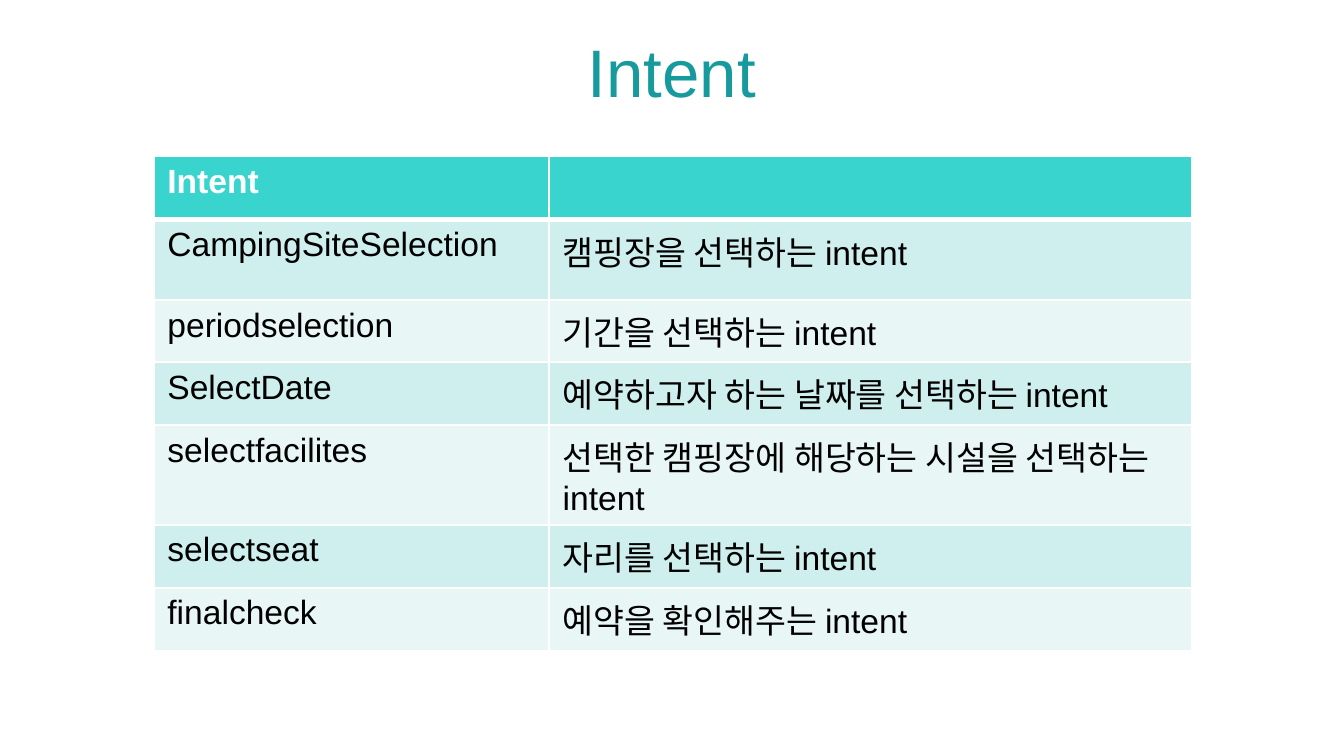
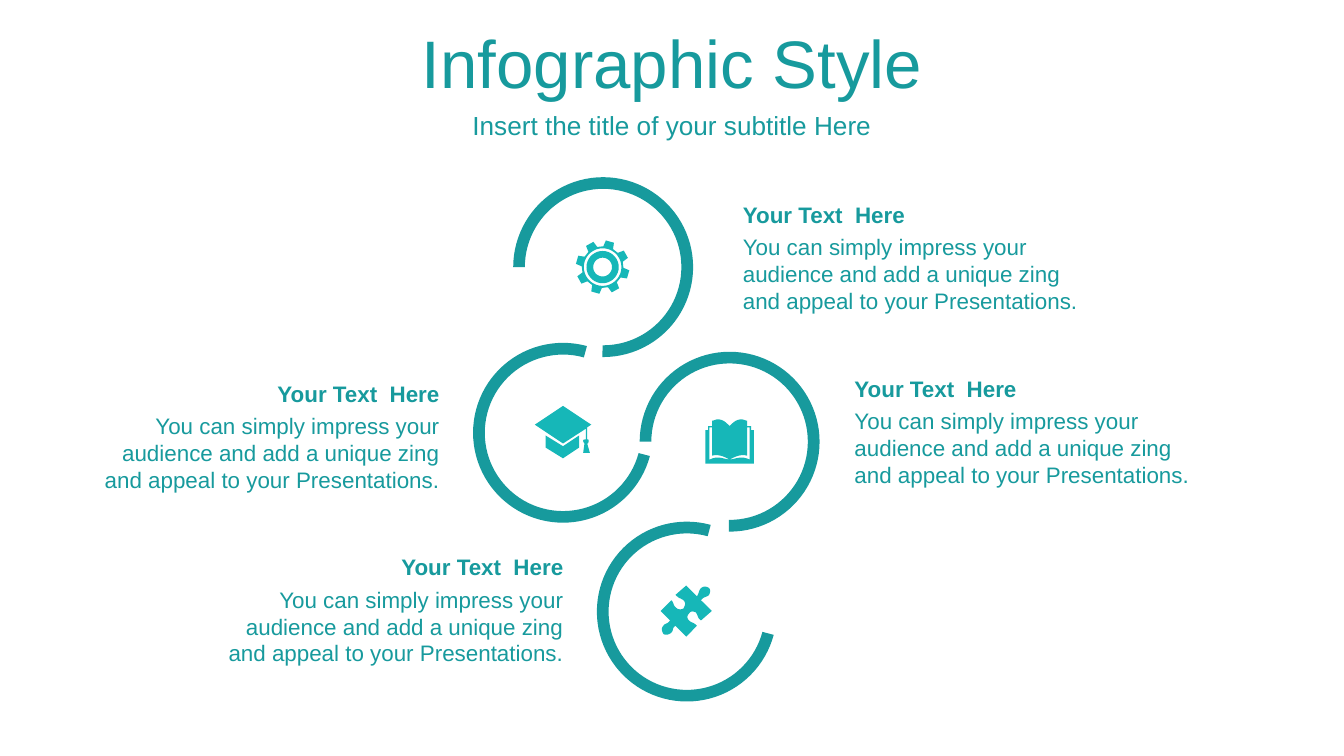
"""Build two slides: a table of intents and an infographic of four linked rings."""
from lxml.etree import SubElement
from pptx import Presentation
from pptx.dml.color import RGBColor
from pptx.enum.shapes import MSO_SHAPE as Preset
from pptx.enum.text import MSO_ANCHOR as Anchor, MSO_AUTO_SIZE as AutoSize, PP_ALIGN as Align
from pptx.oxml.ns import qn
from pptx.util import Cm, Pt
from math import cos, radians, sin

COLORS = {
    "title": "179A9D",
    "icon": "16B7B8",
    "header": "38D4CD",
    "band_dark": "CEEFED",
    "band_light": "E8F7F6",
    "white": "FFFFFF",
    "black": "000000",
}
FONT = "Arial"
ICON_UNIT = 0.0254
CURVE_STEPS = 8


def write_text(frame, text, size, color, align=Align.LEFT, bold=False):
    frame.text = text
    frame.word_wrap = True
    para = frame.paragraphs[0]
    para.alignment = align
    para.space_before = Pt(0)
    for span in para.runs:
        span.font.name = FONT
        span.font.size = Pt(size)
        span.font.bold = bold
        span.font.color.rgb = RGBColor.from_string(COLORS[color])


def draw_icon(page, center, contours):
    builder = None
    for contour in contours:
        points = [contour[0]]
        for step in contour[1:]:
            if len(step) == 2:
                points.append(step)
                continue
            (x0, y0), (x1, y1, x2, y2, x3, y3) = points[-1], step
            for index in range(1, CURVE_STEPS + 1):
                t = index / CURVE_STEPS
                a, b, c, d = (1 - t) ** 3, 3 * t * (1 - t) ** 2, 3 * t * t * (1 - t), t ** 3
                points.append((a * x0 + b * x1 + c * x2 + d * x3,
                               a * y0 + b * y1 + c * y2 + d * y3))
        places = [(Cm(center[0] + x * ICON_UNIT), Cm(center[1] + y * ICON_UNIT))
                  for x, y in points]
        if builder is None:
            builder = page.shapes.build_freeform(*places[0], scale=1.0)
        else:
            builder.move_to(*places[0])
        builder.add_line_segments(places[1:], close=True)
    icon = builder.convert_to_shape()
    icon.shadow.inherit = False
    icon.fill.solid()
    icon.fill.fore_color.rgb = RGBColor.from_string(COLORS["icon"])
    icon.line.fill.background()


deck = Presentation()
deck.slide_width, deck.slide_height = Cm(25.4), Cm(14.29)
table_page = deck.slides.add_slide(deck.slide_layouts[5])
ring_page = deck.slides.add_slide(deck.slide_layouts[1])

headings = [
    (table_page.shapes.title, "Intent", 0.53, 1.6, 36),
    (ring_page.shapes.title, "Infographic Style", 0.36, 1.6, 36),
    (ring_page.placeholders[1], "Insert the title of your subtitle Here", 1.96, 0.79, 14),
]
for box, text, top, height, size in headings:
    box.left, box.top, box.width, box.height = Cm(0), Cm(top), deck.slide_width, Cm(height)
    frame = box.text_frame
    frame.auto_size = AutoSize.NONE
    frame.vertical_anchor = Anchor.MIDDLE
    write_text(frame, text, size, "title", Align.CENTER)
    properties = frame.paragraphs[0]._p.get_or_add_pPr()
    properties.set("marL", "0")
    properties.set("indent", "0")
    SubElement(properties, qn("a:buNone"))

intents = [
    ("Intent", "", 1.19),
    ("CampingSiteSelection", "캠핑장을 선택하는 intent", 1.52),
    ("periodselection", "기간을 선택하는 intent", 1.02),
    ("SelectDate", "예약하고자 하는 날짜를 선택하는 intent", 1.19),
    ("selectfacilites", "선택한 캠핑장에 해당하는 시설을 선택하는 intent", 1.52),
    ("selectseat", "자리를 선택하는 intent", 1.19),
    ("finalcheck", "예약을 확인해주는 intent", 1.19),
]
table = table_page.shapes.add_table(
    len(intents), 2, Cm(2.91), Cm(2.96), Cm(19.61), Cm(8.82)).table
table.columns[0].width, table.columns[1].width = Cm(7.47), Cm(12.14)
for row, (name, meaning, height) in enumerate(intents):
    table.rows[row].height = Cm(height)
    fill = "header" if row == 0 else ("band_light", "band_dark")[row % 2]
    for column, text in enumerate((name, meaning)):
        cell = table.cell(row, column)
        write_text(cell.text_frame, text, 18, "black" if row else "white", bold=row == 0)
        for side in "LRTB":
            thick = (row, side) in ((0, "B"), (1, "T"))
            border = SubElement(cell._tc.get_or_add_tcPr(), qn(f"a:ln{side}"),
                                w=str(Pt(3 if thick else 1)))
            paint = SubElement(border, qn("a:solidFill"))
            SubElement(paint, qn("a:srgbClr"), val=COLORS["white"])
        cell.fill.solid()
        cell.fill.fore_color.rgb = RGBColor.from_string(COLORS[fill])

for left, top, turn in [(9.7, 3.35, 0), (8.94, 6.48, 195), (12.09, 6.65, 0), (11.28, 9.86, 195)]:
    ring = ring_page.shapes.add_shape(Preset.BLOCK_ARC, Cm(left), Cm(top), Cm(3.4), Cm(3.4))
    ring.rotation = turn
    for index, value in enumerate((108, 54.26, 0.065)):
        ring.adjustments[index] = value
    ring.shadow.inherit = False
    ring.fill.solid()
    ring.fill.fore_color.rgb = RGBColor.from_string(COLORS["title"])
    ring.line.fill.background()

book_half = [
    [(0, -12), (3, -15, 5, -17, 9, -17), (10, -17, 12, -16, 13, -16), (13, -12), (16, -12),
     (16, -9), (18, -9), (18, 16), (0, 16)],
    [(0, 13), (6, 12, 9, 10, 15, 13), (15, -11), (13, -11), (13, 10), (9, 9, 5, 10, 0, 13)],
]
mirrored_half = [[tuple(-value if index % 2 == 0 else value for index, value in enumerate(step))
                  for step in contour] for contour in book_half]
puzzle = [[
    (17, -17), (18, -16, 18, -14, 17, -12), (15, -10, 13, -11, 11, -8), (19, 0), (11, 7),
    (8, 5, 9, 3, 7, 1), (5, 0, 3, 0, 2, 2), (1, 3, 0, 5, 2, 7), (4, 9, 5, 8, 8, 11),
    (0, 19), (-8, 11), (-11, 13, -9, 14, -11, 16), (-13, 18, -16, 18, -17, 17),
    (-18, 15, -19, 13, -17, 11), (-16, 9, -14, 10, -12, 7), (-19, 0), (-11, -8),
    (-9, -6, -10, -4, -7, -2), (-6, -1, -3, -1, -2, -2), (-1, -4, 0, -6, -2, -8),
    (-5, -10, -5, -9, -8, -12), (0, -19), (8, -11), (10, -14, 9, -15, 11, -17),
    (13, -19, 16, -18, 17, -17),
]]
cap = [
    [(-13, 2), (0, 10), (12, 2), (12, 11), (0, 19), (-13, 11)],
    [(0, -20), (21, -6), (18, -4), (18, 5), (19, 5, 19, 5, 19, 6), (19, 7, 19, 8, 18, 8),
     (20, 15), (15, 15), (16, 8), (16, 8, 15, 7, 15, 6), (15, 5, 16, 5, 17, 5), (17, -3),
     (0, 8), (-21, -6)],
]
gear_teeth = [(radius * sin(radians(tooth + offset)), -radius * cos(radians(tooth + offset)))
              for tooth in range(16, 376, 45)
              for radius, offset in ((15.5, -14), (20, -9), (20, 9), (15.5, 14))]
gear_circles = [[(radius * cos(radians(angle)), radius * sin(radians(angle)))
                 for angle in range(0, 360, 10)] for radius in (14, 12, 7)]
draw_icon(ring_page, (13.79, 8.36), book_half + mirrored_half)
draw_icon(ring_page, (12.97, 11.55), puzzle)
draw_icon(ring_page, (10.64, 8.18), cap)
draw_icon(ring_page, (11.39, 5.05), [gear_teeth] + gear_circles)

message = "You can simply impress your audience and add a unique zing and appeal to your Presentations."
for left, top, align in [(1.5, 7.06, Align.RIGHT), (3.84, 10.34, Align.RIGHT),
                         (13.79, 3.68, Align.LEFT), (15.9, 6.96, Align.LEFT)]:
    group = ring_page.shapes.add_group_shape()
    for text, drop, height, bold in [(message, 0.61, 1.8, False),
                                     ("Your Text  Here", 0, 0.76, True)]:
        box = group.shapes.add_textbox(Cm(left), Cm(top + drop), Cm(7.06), Cm(height))
        write_text(box.text_frame, text, 12, "title", align, bold)

deck.save("out.pptx")
